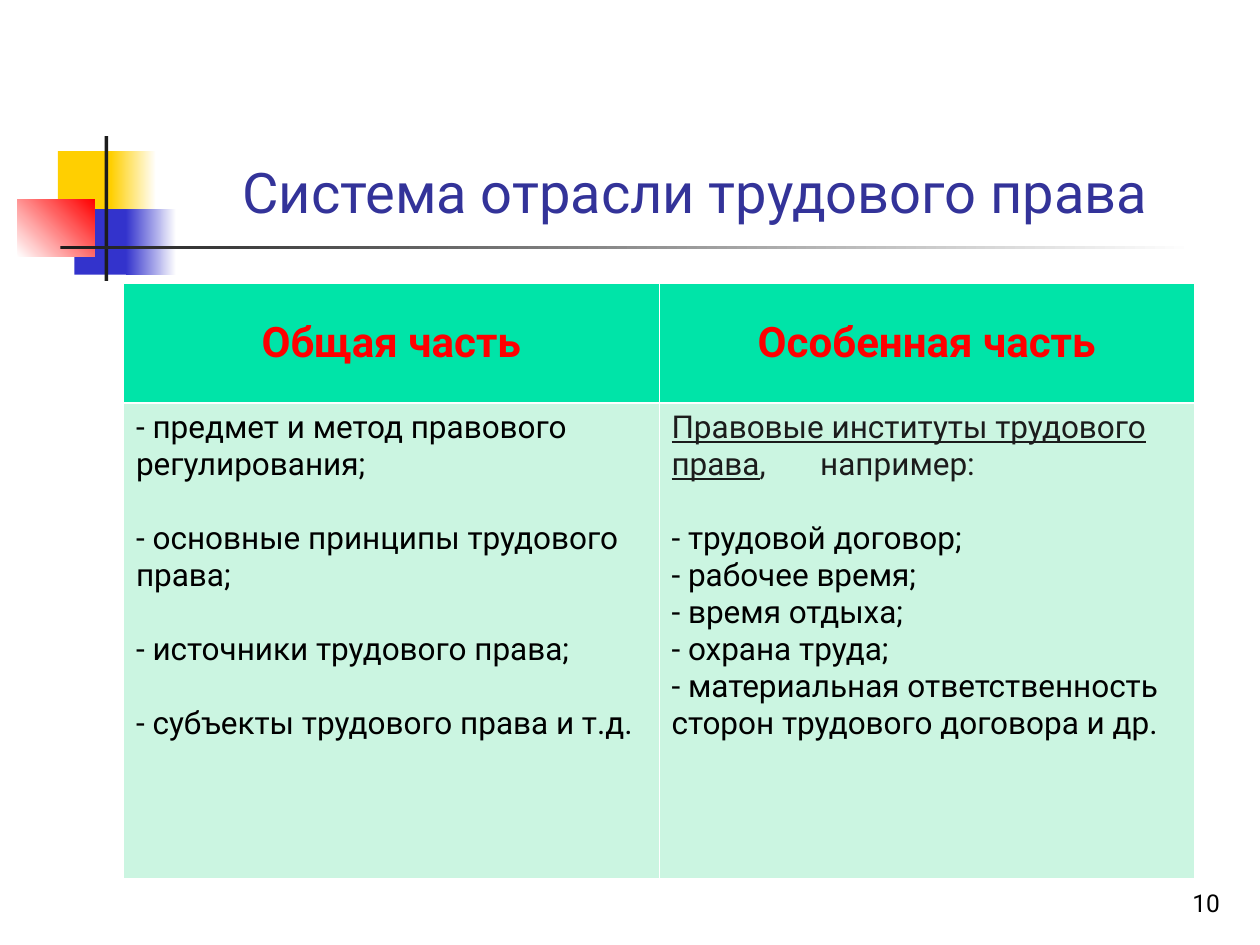
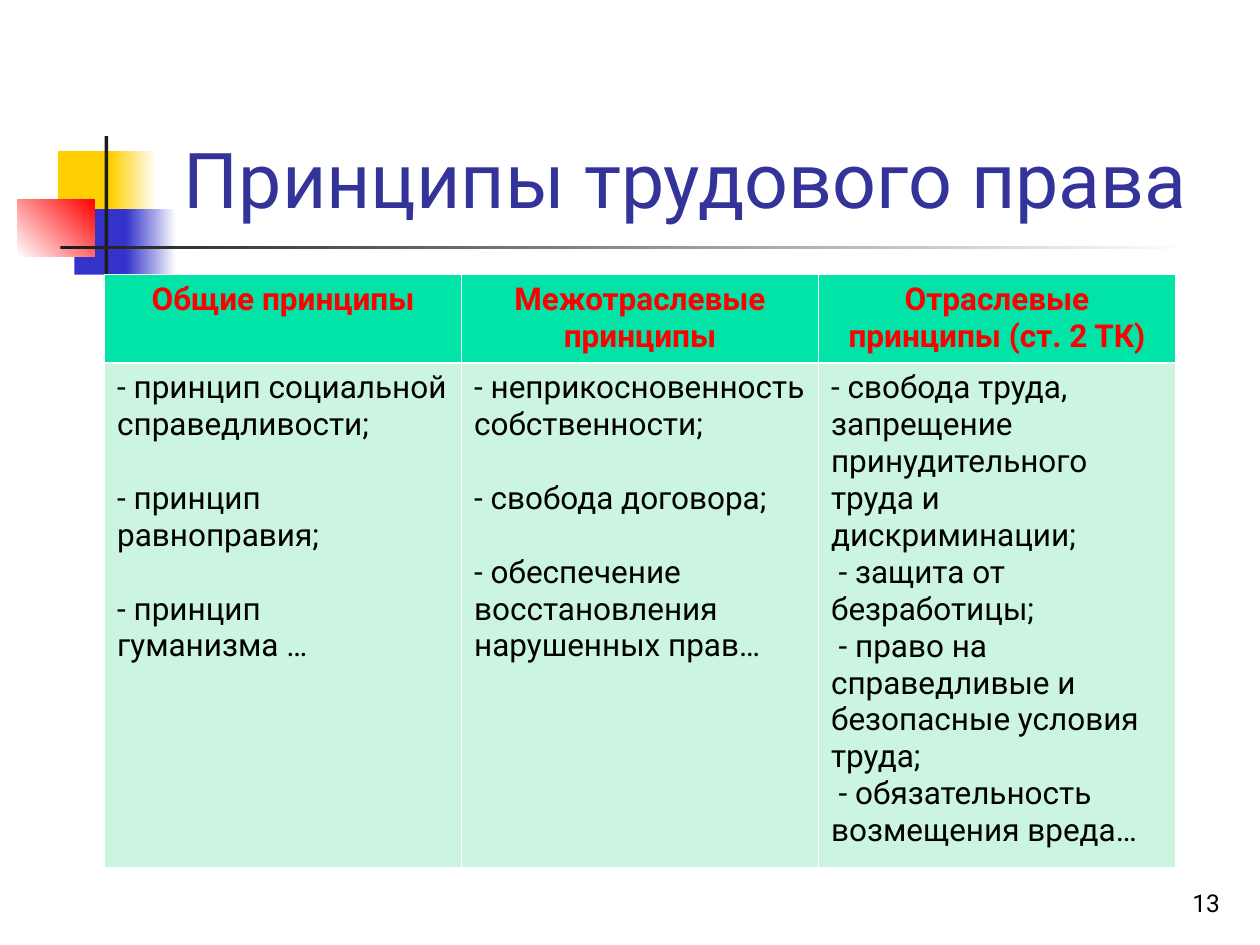
import dataclasses

import lxml.etree
import pptx
import pptx.dml.color
import pptx.enum.shapes
import pptx.enum.text
import pptx.oxml.ns
import pptx.util

RGB = pptx.dml.color.RGBColor
Align = pptx.enum.text.PP_ALIGN
Anchor = pptx.enum.text.MSO_ANCHOR

WHITE = RGB(0xFF, 0xFF, 0xFF)
BLACK = RGB(0x00, 0x00, 0x00)
INK = RGB(0x1C, 0x1C, 0x1C)
YELLOW = RGB(0xFF, 0xCF, 0x01)
BLUE = RGB(0x33, 0x33, 0xCC)
RED = RGB(0xFF, 0x00, 0x00)
TITLE_BLUE = RGB(0x33, 0x33, 0x99)
HEAD_GREEN = RGB(0x00, 0xE4, 0xA8)
BODY_GREEN = RGB(0xCB, 0xF5, 0xE1)

FONT = "Roboto"
BODY_SIZE = 18
BLANK_LINE = pptx.util.Pt(21.1)
THIN, THICK = 0.45, 1.47

# The page is a grid of 100 columns by 75 rows of equal square cells.
COLUMNS, ROWS = 100, 75
CELL = pptx.util.Inches(0.1)


@dataclasses.dataclass
class Box:
    """A region measured in grid columns and rows."""
    left: float
    top: float
    width: float
    height: float

    def inner(self, left, top, width, height):
        return Box(self.left + left, self.top + top, width, height)

    def lengths(self):
        return [round(value * CELL) for value in dataclasses.astuple(self)]


@dataclasses.dataclass
class Item:
    """One paragraph of a table cell; lead is underlined before the text."""
    text: str
    gap: bool = False
    indent: float = 0
    lead: str = ""
    color: RGB = BLACK
    tab: float = 0


EMBLEM = Box(1.4, 10.8, 93.4, 11.5)
TITLE = Box(12.6, 2.3, 85.2, 16)
NUMBER = Box(77, 68.3, 20.8, 5)

# Place inside the emblem, first colour, last colour, angle.
EMBLEM_PIECES = [
    ((3.2, 1.2, 4.8, 5.2), YELLOW, YELLOW, 0),
    ((7.4, 1.2, 3.6, 5.2), YELLOW, WHITE, 0),
    ((4.5, 5.8, 4.6, 5.2), BLUE, BLUE, 0),
    ((8.6, 5.8, 4, 5.2), BLUE, WHITE, 0),
    ((0, 5, 6.1, 4.6), WHITE, RED, 45),
    ((6.9, 0, 0.3, 11.5), INK, INK, 0),
    ((3.4, 8.7, 90, 0.3), INK, WHITE, 0),
]


def style(target, **values):
    for name, value in values.items():
        setattr(target, name, value)


def style_spans(para, size, color, bold=False):
    for span in para.runs:
        style(span.font, name=FONT, size=pptx.util.Pt(size), bold=bold)
        span.font.color.rgb = color


def draw_emblem(page, box):
    for place, first, last, angle in EMBLEM_PIECES:
        shape = page.shapes.add_shape(
            pptx.enum.shapes.MSO_SHAPE.RECTANGLE, *box.inner(*place).lengths())
        shape.shadow.inherit = False
        shape.line.fill.background()
        if first == last:
            shape.fill.solid()
            shape.fill.fore_color.rgb = first
        else:
            shape.fill.gradient()
            shape.fill.gradient_angle = angle
            for stop, color in zip(shape.fill.gradient_stops, (first, last)):
                stop.color.rgb = color


def draw_line_of_text(page, box, text, size, color, align):
    frame = page.shapes.add_textbox(*box.lengths()).text_frame
    style(frame, word_wrap=True, vertical_anchor=Anchor.BOTTOM)
    para = frame.paragraphs[0]
    style(para, text=text, alignment=align)
    style_spans(para, size, color)


def draw_borders(cell, **widths):
    """Give the cell white borders; widths are keyed by side: L, R, T, B."""
    properties = cell._tc.get_or_add_tcPr()
    qn = pptx.oxml.ns.qn
    for side, width in widths.items():
        line = lxml.etree.SubElement(
            properties, qn(f"a:ln{side}"), w=str(pptx.util.Pt(width)))
        fill = lxml.etree.SubElement(line, qn("a:solidFill"))
        lxml.etree.SubElement(fill, qn("a:srgbClr"), val=str(WHITE))


def fill_cell(cell, color):
    cell.fill.solid()
    cell.fill.fore_color.rgb = color


def write_item(para, item):
    properties = para._p.get_or_add_pPr()
    if item.indent:
        properties.set("indent", str(round(item.indent * CELL)))
    if item.gap:
        para.space_before = BLANK_LINE
    if item.tab:
        tabs = lxml.etree.SubElement(properties, pptx.oxml.ns.qn("a:tabLst"))
        lxml.etree.SubElement(tabs, pptx.oxml.ns.qn("a:tab"),
                              pos=str(round(item.tab * CELL)), algn="l")
    if item.lead:
        style(para.add_run(), text=item.lead)
        para.runs[0].font.underline = True
        para.add_run().text = item.text
    else:
        para.text = item.text
    style_spans(para, BODY_SIZE, item.color)


def draw_table(page, box, head_height, head_size, head_anchor, columns):
    """Draw a heading row over a body row; columns maps heading to items."""
    table = page.shapes.add_table(2, len(columns), *box.lengths()).table
    style(table, first_row=False, horz_banding=False)
    for row, height in zip(table.rows, (head_height, box.height - head_height)):
        row.height = round(height * CELL)
    for index, (heading, items) in enumerate(columns.items()):
        table.columns[index].width = round(box.width * CELL / len(columns))
        head, body = table.cell(0, index), table.cell(1, index)
        draw_borders(head, L=THIN, R=THIN, T=THIN, B=THICK)
        draw_borders(body, L=THIN, R=THIN, T=THICK, B=THIN)
        fill_cell(head, HEAD_GREEN)
        fill_cell(body, BODY_GREEN)

        head.vertical_anchor = head_anchor
        para = head.text_frame.paragraphs[0]
        style(para, text=heading, alignment=Align.CENTER)
        style_spans(para, head_size, RED, bold=True)

        frame = body.text_frame
        for order, item in enumerate(items):
            para = frame.add_paragraph() if order else frame.paragraphs[0]
            write_item(para, item)


def draw_page(deck, title, title_size, number, **table):
    page = deck.slides.add_slide(deck.slide_layouts[6])
    page.background.fill.solid()
    page.background.fill.fore_color.rgb = WHITE
    draw_emblem(page, EMBLEM)
    draw_line_of_text(page, TITLE, title, title_size, TITLE_BLUE, Align.CENTER)
    draw_table(page, **table)
    draw_line_of_text(page, NUMBER, number, 14, BLACK, Align.RIGHT)


SYSTEM_SECTIONS = {
    "Общая часть": [
        Item("- предмет и метод правового регулирования;"),
        Item("- основные принципы трудового права;", gap=True),
        Item("- источники трудового права;", gap=True),
        Item("- субъекты трудового права и т.д.", gap=True),
    ],
    "Особенная часть": [
        Item(",\tнапример:", lead="Правовые институты трудового права",
             color=INK, tab=11.8),
        Item("- трудовой договор;", gap=True),
        Item("- рабочее время;"),
        Item("- время отдыха;"),
        Item("- охрана труда;"),
        Item("- материальная ответственность сторон трудового договора и др."),
    ],
}

PRINCIPLES = {
    "Общие принципы": [
        Item("- принцип социальной справедливости;"),
        Item("- принцип равноправия;", gap=True),
        Item("- принцип\vгуманизма …", gap=True),
    ],
    "Межотраслевые принципы": [
        Item("- неприкосновенность собственности;"),
        Item("- свобода договора;", gap=True),
        Item("- обеспечение восстановления нарушенных прав…", gap=True),
    ],
    "Отраслевые принципы (ст. 2 ТК)": [
        Item("- свобода труда, запрещение принудительного труда "
             "и дискриминации;"),
        Item("- защита от безработицы;", indent=0.6),
        Item("- право на справедливые и безопасные условия труда;", indent=0.6),
        Item("- обязательность возмещения вреда…", indent=0.6),
    ],
}


def main():
    deck = pptx.Presentation()
    style(deck, slide_width=COLUMNS * CELL, slide_height=ROWS * CELL)
    draw_page(deck, "Система отрасли трудового права", 32, "10",
              box=Box(9.8, 22.5, 85, 47.2), head_height=9.5, head_size=24,
              head_anchor=Anchor.MIDDLE, columns=SYSTEM_SECTIONS)
    draw_page(deck, "Принципы трудового права ", 44, "13",
              box=Box(8.3, 21.8, 85, 47), head_height=7, head_size=BODY_SIZE,
              head_anchor=Anchor.TOP, columns=PRINCIPLES)
    deck.save("out.pptx")


if __name__ == "__main__":
    main()
